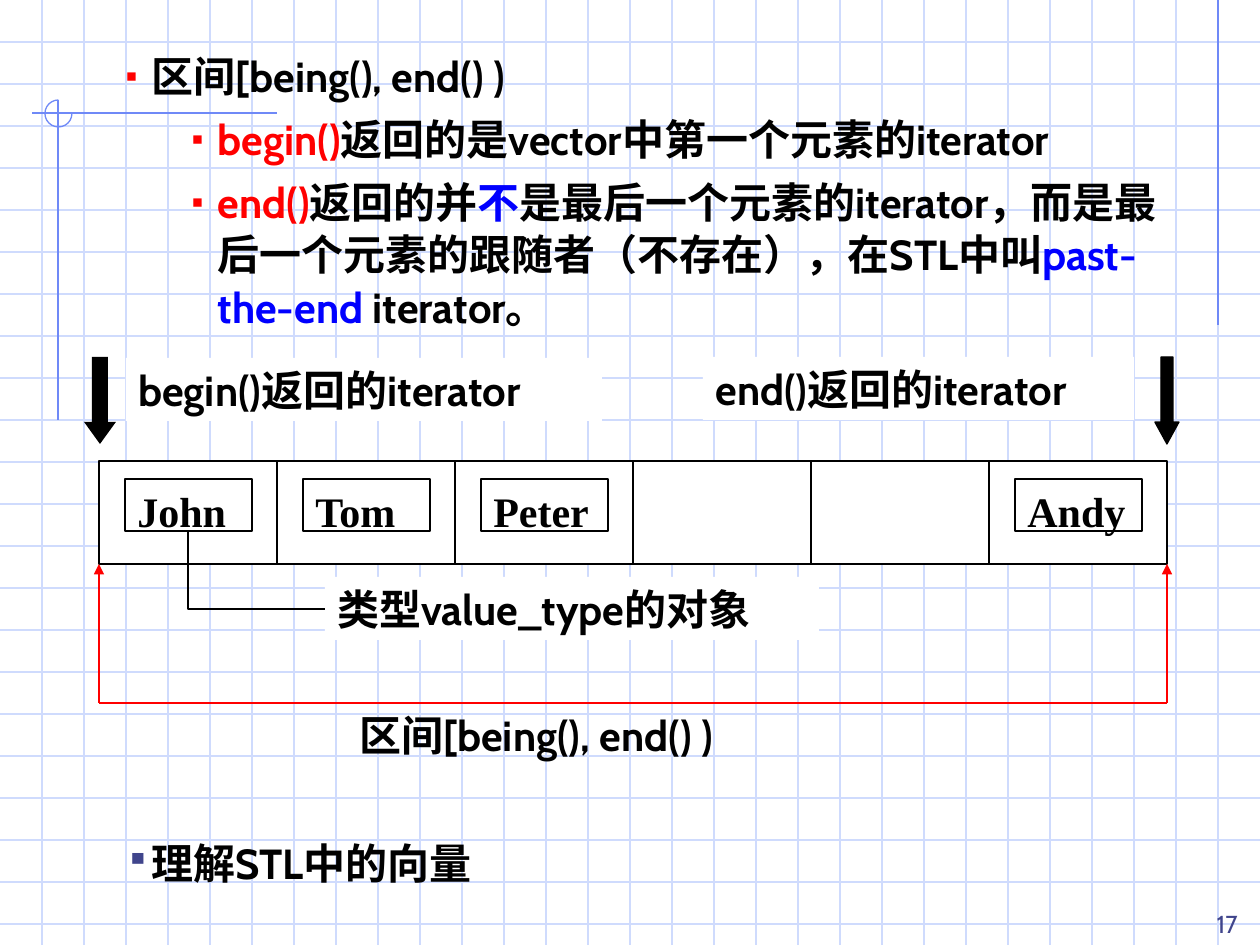
import lxml.etree
import pptx
import pptx.util
import pptx.dml.color
import pptx.enum.shapes
import pptx.enum.text
import pptx.oxml.ns

SHAPE = pptx.enum.shapes.MSO_SHAPE
LINK = pptx.enum.shapes.MSO_CONNECTOR
ALIGN = pptx.enum.text.PP_ALIGN
ANCHOR = pptx.enum.text.MSO_ANCHOR
qn = pptx.oxml.ns.qn

WIDE, HIGH = 1260, 945
BLACK, WHITE, RED, BLUE = "000000", "FFFFFF", "FF0000", "0000FF"
GRID, TRIM, NAVY = "CFDBFD", "6F89F7", "40458C"
ROMAN, CABIN, MONO = "Times New Roman", "Cabin", "Courier New"


def emu(px):
    return round(px * 914400 / 126)


def rgb(code):
    return pptx.dml.color.RGBColor.from_string(code)


def add(parent, tag, **attrs):
    return lxml.etree.SubElement(parent, qn(tag), **attrs)


class Canvas:
    """Hold the text style and the slide being drawn."""

    font, size, ink = CABIN, 24, BLACK

    def __init__(self, slide):
        self.slide = slide
        self.shapes = slide.shapes

    def line(self, start, end, color, width=0.75, tip=False, kind=LINK.STRAIGHT):
        link = self.shapes.add_connector(kind, *map(emu, (*start, *end)))
        link.line.color.rgb = rgb(color)
        link.line.width = pptx.util.Pt(width)
        props = link._element.spPr
        if tip:
            add(props.find(qn("a:ln")), "a:tailEnd", type="triangle")
        add(props, "a:effectLst")
        return link

    def elbow(self, start, end, color, width):
        link = self.line(start, end, color, width, kind=LINK.ELBOW)
        link._element.spPr.find(qn("a:prstGeom")).set("prst", "bentConnector2")

    def shape(self, kind, area, fill=None, edge=None, adjust=()):
        item = self.shapes.add_shape(kind, *map(emu, area))
        item.shadow.inherit = False
        if fill:
            item.fill.solid()
            item.fill.fore_color.rgb = rgb(fill)
        else:
            item.fill.background()
        if edge:
            item.line.color.rgb = rgb(edge)
            item.line.width = pptx.util.Pt(0.75)
        else:
            item.line.fill.background()
        for index, value in enumerate(adjust):
            item.adjustments[index] = value
        return item

    def run(self, para, text, font=None, color=None, size=None, bold=True):
        part = para.add_run()
        part.text = text
        part.font.name = font or self.font
        part.font.size = pptx.util.Pt(size or self.size)
        part.font.bold = bold
        part.font.color.rgb = rgb(color or self.ink)

    def label(self, area, text, font=None, edge=None):
        item = self.shape(SHAPE.RECTANGLE, area, WHITE, edge)
        frame = item.text_frame
        frame.word_wrap = True
        frame.vertical_anchor = ANCHOR.TOP
        para = frame.paragraphs[0]
        para.alignment = ALIGN.JUSTIFY
        self.run(para, text, font)

    def text(self, area):
        frame = self.shapes.add_textbox(*map(emu, area)).text_frame
        frame.word_wrap = True
        return frame

    def body(self, area):
        item = self.slide.placeholders[1]
        item.left, item.top, item.width, item.height = map(emu, area)
        self.shapes._spTree.append(item._element)
        frame = item.text_frame
        frame.word_wrap = True
        frame.auto_size = pptx.enum.text.MSO_AUTO_SIZE.NONE
        frame.vertical_anchor = ANCHOR.TOP
        return frame

    def items(self, frame, rows, mark):
        for index, (level, runs) in enumerate(rows):
            para = frame.add_paragraph() if index else frame.paragraphs[0]
            para.level = level
            para.line_spacing = pptx.util.Pt(30)
            para.space_before = pptx.util.Pt(6)
            props = para._p.get_or_add_pPr()
            props.set("marL", str(emu(66 * level)))
            props.set("indent", str(emu(-26)))
            tint = add(props, "a:buClr")
            add(tint, "a:srgbClr", val=mark)
            add(props, "a:buSzPct", val="80000")
            add(props, "a:buChar", char="▪")
            for part in runs:
                self.run(para, *part)


def backdrop(art):
    for y in range(42, HIGH, 42):
        art.line((0, y), (WIDE, y), GRID)
    for x in range(42, WIDE, 42):
        art.line((x, 0), (x, HIGH), GRID)
    art.line((1218, 0), (1218, 325), TRIM)
    art.line((277, 113), (32, 113), TRIM)
    art.line((58, 100), (58, 420), TRIM)
    art.shape(SHAPE.ARC, (45, 100, 27, 27), edge=TRIM, adjust=(0, 162))


def lists(art):
    rows = [
        (1, [("区间", ROMAN), ("[being(), end() )",)]),
        (2, [("begin()", CABIN, RED), ("返回的是", ROMAN), ("vector",),
             ("中第一个元素的", ROMAN), ("iterator",)]),
        (2, [("end()", CABIN, RED), ("返回的并", ROMAN), ("不", ROMAN, BLUE),
             ("是最后一个元素的", ROMAN), ("iterator",),
             ("，而是最后一个元素的跟随者（不存在），在", ROMAN), ("STL",),
             ("中叫", ROMAN), ("past-the-end", CABIN, BLUE),
             (" iterator",), ("。", ROMAN)]),
    ]
    art.items(art.body((73, 42, 1134, 766)), rows, RED)
    last = [(1, [("理解", MONO), ("STL",), ("中的向量", MONO)])]
    art.items(art.text((73, 829, 451, 63)), last, NAVY)


def vector(art):
    left, top, step, high = 99, 461, 178, 103
    names = ["John", "Tom", "Peter", "", "", "Andy"]
    right, base, rail = left + step * len(names), top + high, 703
    for index, name in enumerate(names):
        x = left + step * index
        art.shape(SHAPE.RECTANGLE, (x, top, step, high), WHITE, BLACK)
        if name:
            art.label((x + 26, 479, 127, 52), name, ROMAN, BLACK)
    art.shape(SHAPE.DOWN_ARROW, (84, 357, 32, 87), BLACK, adjust=(0.5, 0.69))
    art.shape(SHAPE.DOWN_ARROW, (1155, 357, 24, 87), BLACK, BLACK, (0.5, 0.91))
    art.label((126, 358, 476, 63), "begin()返回的iterator")
    art.label((703, 357, 431, 63), "end()返回的iterator")
    for x in (left, right):
        art.line((x, rail), (x, base), RED, 1.5, tip=True)
    art.line((left, rail), (right, rail), RED, 1.5)
    art.label((325, 577, 494, 63), "类型value_type的对象")
    art.elbow((325, 609), (188, 531), BLACK, 1.5)
    note = art.text((347, 703, 504, 63)).paragraphs[0]
    art.run(note, "区间[being(), end() )")


def number(art):
    frame = art.text((1166, 882, 84, 63))
    frame.vertical_anchor = ANCHOR.BOTTOM
    para = frame.paragraphs[0]
    para.alignment = ALIGN.RIGHT
    art.run(para, "17", color=NAVY, size=14, bold=False)


def main():
    deck = pptx.Presentation()
    deck.slide_width, deck.slide_height = emu(WIDE), emu(HIGH)
    slide = deck.slides.add_slide(deck.slide_layouts[1])
    title = slide.shapes.title._element
    title.getparent().remove(title)
    art = Canvas(slide)
    backdrop(art)
    lists(art)
    vector(art)
    number(art)
    deck.save("out.pptx")


if __name__ == "__main__":
    main()
